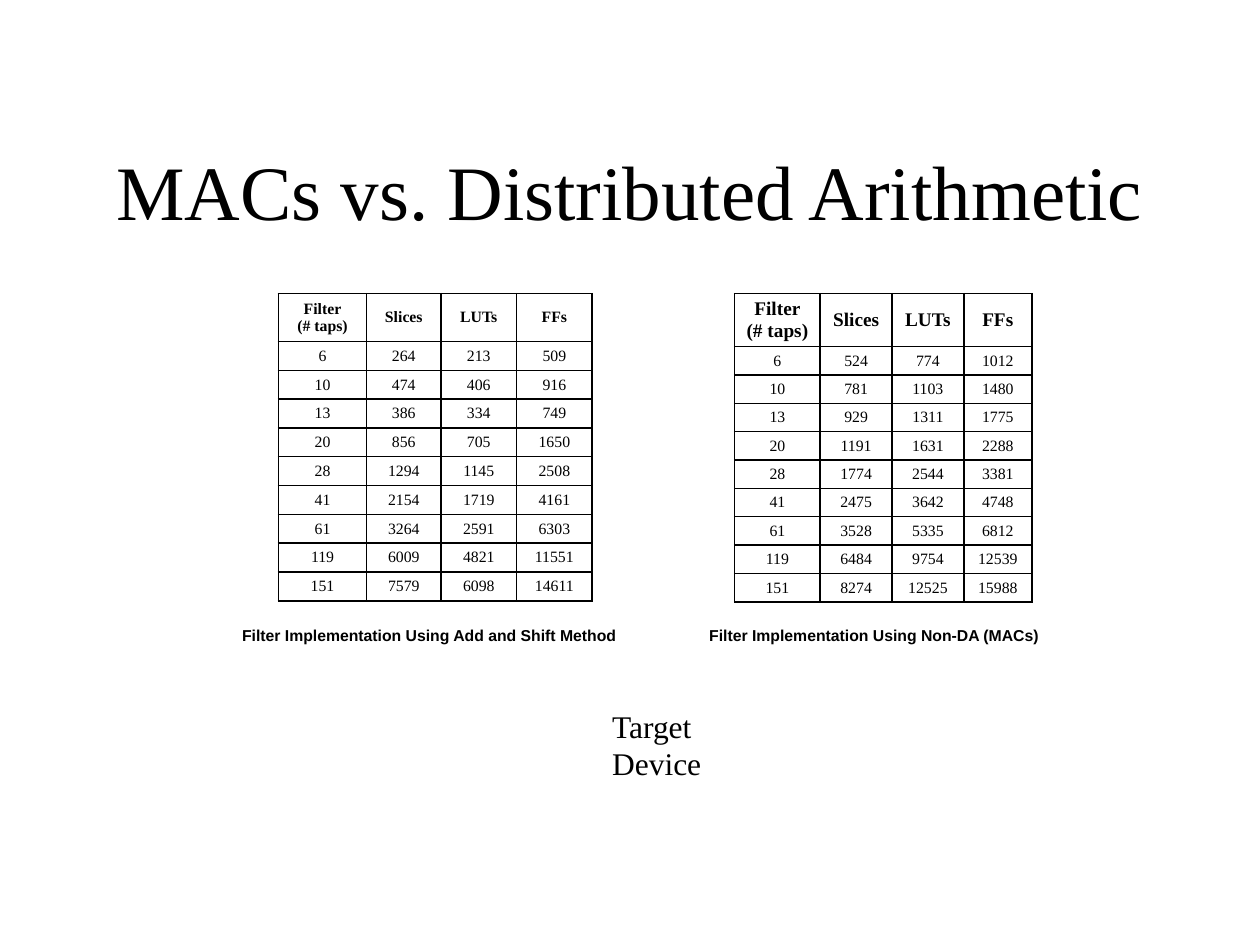
from lxml.etree import SubElement
from pptx import Presentation
from pptx.dml.color import RGBColor
from pptx.enum.text import MSO_ANCHOR as Anchor, PP_ALIGN as Align
from pptx.oxml.ns import qn
from pptx.util import Inches, Pt

BLACK, WHITE = "000000", "FFFFFF"
SERIF, SANS = "Times New Roman", "Arial"

HEADINGS = ["Filter\n(# taps)", "Slices", "LUTs", "FFs"]
TAPS = [6, 10, 13, 20, 28, 41, 61, 119, 151]
TABLES = [
    {
        "place": (2.21, 2.33, 2.48, 2.44),
        "columns": [0.7, 0.59, 0.6, 0.6],
        "heading_height": 0.38,
        "heading_size": 9,
        "results": [
            (264, 213, 509), (474, 406, 916), (386, 334, 749),
            (856, 705, 1650), (1294, 1145, 2508), (2154, 1719, 4161),
            (3264, 2591, 6303), (6009, 4821, 11551), (7579, 6098, 14611),
        ],
    },
    {
        "place": (5.83, 2.33, 2.36, 2.45),
        "columns": [0.68, 0.57, 0.57, 0.54],
        "heading_height": 0.42,
        "heading_size": 11,
        "results": [
            (524, 774, 1012), (781, 1103, 1480), (929, 1311, 1775),
            (1191, 1631, 2288), (1774, 2544, 3381), (2475, 3642, 4748),
            (3528, 5335, 6812), (6484, 9754, 12539), (8274, 12525, 15988),
        ],
    },
]

CAPTION_FONT = {"name": SANS, "size": Pt(9), "bold": True}
TEXTS = [
    ("MACs vs. Distributed Arithmetic", (0.69, 1.18, 8.62, 0.66),
     {"name": SERIF, "size": Pt(44)}, Align.CENTER,
     {"vertical_anchor": Anchor.MIDDLE, "word_wrap": True}),
    ("Filter Implementation Using Add and Shift Method", (1.78, 4.92, 3.25, 0.25),
     CAPTION_FONT, Align.CENTER, {"word_wrap": True}),
    ("Filter Implementation Using Non-DA (MACs)", (5.09, 4.92, 3.69, 0.25),
     CAPTION_FONT, Align.CENTER, {"word_wrap": True}),
    ("Target Device", (4.76, 5.56, 1.48, 0.4),
     {"name": SERIF, "size": Pt(18)}, Align.LEFT, {"word_wrap": False}),
]

CELL_FORMAT = {
    "vertical_anchor": Anchor.MIDDLE,
    "margin_left": Inches(0.07),
    "margin_right": Inches(0.07),
    "margin_top": Inches(0.04),
    "margin_bottom": Inches(0.04),
}


def color(value):
    return RGBColor.from_string(value)


def apply(target, values):
    for name, value in values.items():
        setattr(target, name, value)


def write(frame, text, font, align):
    frame.text = text
    for paragraph in frame.paragraphs:
        paragraph.alignment = align
        for run in paragraph.runs:
            apply(run.font, font)
            run.font.color.rgb = color(BLACK)


def add_borders(cell):
    properties = cell._tc.get_or_add_tcPr()
    for position, side in enumerate(["lnL", "lnR", "lnT", "lnB"]):
        border = SubElement(properties, qn(f"a:{side}"), w=str(Pt(1)))
        fill = SubElement(border, qn("a:solidFill"))
        SubElement(fill, qn("a:srgbClr"), val=BLACK)
        properties.insert(position, border)


def add_results(slide, data):
    rows = [HEADINGS] + [(taps, *result) for taps, result in zip(TAPS, data["results"])]
    place, heading_height = data["place"], data["heading_height"]
    table = slide.shapes.add_table(len(rows), len(HEADINGS), *map(Inches, place)).table
    for column, column_width in zip(table.columns, data["columns"]):
        column.width = Inches(column_width)
    body_height = (place[3] - heading_height) / len(TAPS)
    for r, values in enumerate(rows):
        is_heading = r == 0
        table.rows[r].height = Inches(heading_height if is_heading else body_height)
        size = data["heading_size"] if is_heading else 9
        font = {"name": SERIF, "size": Pt(size), "bold": is_heading}
        for c, value in enumerate(values):
            cell = table.cell(r, c)
            apply(cell, CELL_FORMAT)
            cell.fill.solid()
            cell.fill.fore_color.rgb = color(WHITE)
            add_borders(cell)
            write(cell.text_frame, str(value), font, Align.CENTER)


def main():
    deck = Presentation()
    deck.slide_width, deck.slide_height = Inches(10), Inches(7.5)
    slide = deck.slides.add_slide(deck.slide_layouts[6])
    for data in TABLES:
        add_results(slide, data)
    for text, place, font, align, frame_format in TEXTS:
        frame = slide.shapes.add_textbox(*map(Inches, place)).text_frame
        apply(frame, frame_format)
        write(frame, text, font, align)
    deck.save("out.pptx")


if __name__ == "__main__":
    main()
